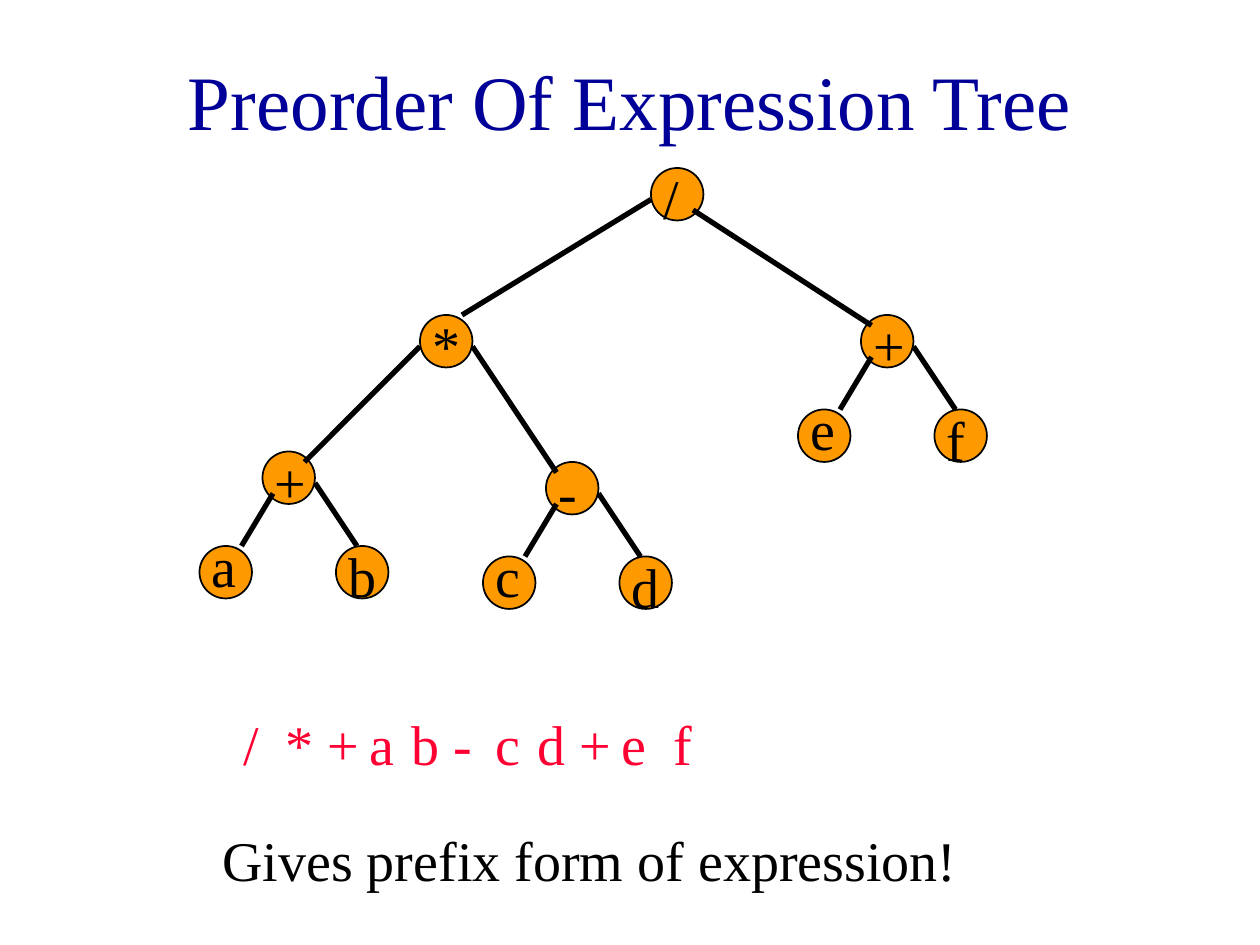
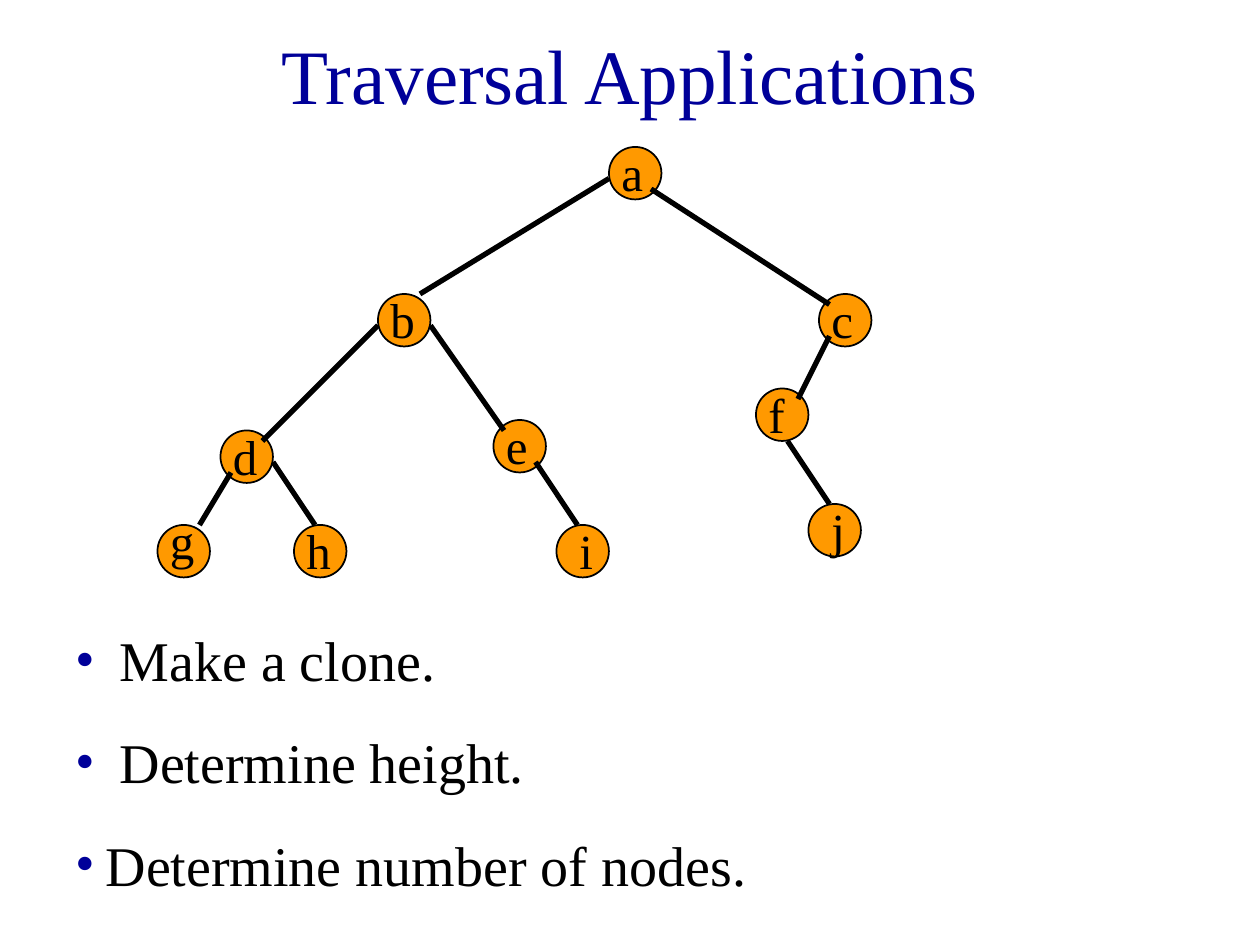
from lxml.etree import SubElement
from pptx import Presentation
from pptx.dml.color import RGBColor
from pptx.enum.shapes import MSO_CONNECTOR, MSO_SHAPE
from pptx.enum.text import MSO_ANCHOR, MSO_AUTO_SIZE, PP_ALIGN
from pptx.oxml.ns import qn
from pptx.util import Pt

COLORS = {"title": "000099", "node": "FF9900", "ink": "000000",
          "result": "FF0033", "paper": "FFFFFF"}
FONT = "Times New Roman"
NODE_SIZE = 30
SPACE_RATIO = 0.625  # space before a paragraph, per point of text size

# Where an edge meets a node, measured from the node's top left corner
PORTS = {"left": (0, 18), "lower left": (6, 24), "bottom": (18, 30),
         "lower right": (24, 24), "right": (30, 18), "top": (12, 0),
         "top right": (24, 0), "upper left": (6, 6), "upper right": (24, 6)}

# Nodes: key, label, left, top, label shift (across, down)
# Edges: parent, port, child, port
EXPRESSION = {
    "title": "Preorder Of Expression Tree", "title_height": 90,
    "label_size": 32, "label_box": (30, 46),
    "nodes": [
        ("sum ab", "+", 150, 258, (0, -6)), ("a", "a", 114, 312, (0, -12)),
        ("b", "b", 192, 312, (0, -6)), ("minus", "-", 312, 264, (0, -6)),
        ("c", "c", 276, 318, (0, -12)), ("d", "d", 354, 318, (0, -6)),
        ("sum ef", "+", 492, 180, (0, -6)), ("e", "e", 456, 234, (0, -12)),
        ("f", "f", 534, 234, (0, -6)), ("times", "*", 240, 180, (0, -6)),
        ("divide", "/", 372, 96, (0, -6)),
    ],
    "edges": [
        ("sum ab", "lower left", "a", "top right"),
        ("sum ab", "right", "b", "top"),
        ("minus", "lower left", "c", "top right"),
        ("minus", "right", "d", "top"),
        ("sum ef", "lower left", "e", "top right"),
        ("sum ef", "right", "f", "top"),
        ("times", "left", "sum ab", "upper right"),
        ("times", "right", "minus", "upper left"),
        ("divide", "left", "times", "top right"),
        ("divide", "lower right", "sum ef", "upper left"),
    ],
}
APPLICATIONS = {
    "title": "Traversal Applications", "title_height": 60,
    "label_size": 28, "label_box": (60, 41),
    "nodes": [
        ("d", "d", 126, 246, (0, -6)), ("g", "g", 90, 300, (0, -12)),
        ("h", "h", 168, 300, (0, -6)), ("e", "e", 282, 240, (0, -6)),
        ("i", "i", 318, 300, (6, -6)), ("c", "c", 468, 168, (0, -6)),
        ("f", "f", 432, 222, (0, -6)), ("b", "b", 216, 168, (0, -6)),
        ("a", "a", 348, 84, (0, -6)), ("j", "j", 462, 288, (6, -6)),
    ],
    "edges": [
        ("d", "lower left", "g", "top right"),
        ("d", "right", "h", "top"),
        ("e", "lower right", "i", "top"),
        ("c", "lower left", "f", "upper right"),
        ("b", "left", "d", "upper right"),
        ("b", "right", "e", "upper left"),
        ("a", "left", "b", "top right"),
        ("a", "lower right", "c", "upper left"),
        ("f", "bottom", "j", "top"),
    ],
}
PREFIX_FORM = "/*+ab-cd+ef"
PREFIX_NOTE = "Gives prefix form of expression!"
# Text and its distance from the bullet's left edge
USES = [("Make a clone.", 25.3), ("Determine height.", 25.3),
        ("Determine number of nodes.", 17.3)]


def rgb(name):
    return RGBColor.from_string(COLORS[name])


def add_run(paragraph, text, size, color):
    run = paragraph.add_run()
    run.text = text
    run.font.name, run.font.size = FONT, Pt(size)
    run.font.color.rgb = rgb(color)


def add_text(shapes, lines, left, top, width, height, size=32, color="ink"):
    """Add a growing text box and return its paragraphs."""
    frame = shapes.add_textbox(Pt(left), Pt(top), Pt(width), Pt(height)).text_frame
    frame.word_wrap = True
    frame.auto_size = MSO_AUTO_SIZE.SHAPE_TO_FIT_TEXT
    for number, line in enumerate(lines):
        paragraph = frame.add_paragraph() if number else frame.paragraphs[0]
        paragraph.space_before = Pt(size * SPACE_RATIO)
        add_run(paragraph, line, size, color)
    return frame.paragraphs


def add_bullet(paragraph, indent):
    props = paragraph._p.get_or_add_pPr()
    props.set("marL", str(Pt(indent)))
    props.set("indent", str(-Pt(indent)))
    bullet_color = SubElement(props, qn("a:buClr"))
    SubElement(bullet_color, qn("a:srgbClr"), val=COLORS["title"])
    SubElement(props, qn("a:buFont"), typeface=FONT)
    SubElement(props, qn("a:buChar"), char="•")


def add_node(shapes, left, top):
    node = shapes.add_shape(MSO_SHAPE.OVAL, Pt(left), Pt(top),
                            Pt(NODE_SIZE), Pt(NODE_SIZE))
    node.shadow.inherit = False
    node.fill.solid()
    node.fill.fore_color.rgb = rgb("node")
    node.line.color.rgb = rgb("ink")
    node.line.width = Pt(1)


def add_edge(shapes, start, end):
    edge = shapes.add_connector(MSO_CONNECTOR.STRAIGHT,
                                *(Pt(value) for value in (*start, *end)))
    edge.line.color.rgb = rgb("ink")
    edge.line.width = Pt(3)
    SubElement(edge._element.spPr, qn("a:effectLst"))


def add_tree(slide, tree):
    shapes = slide.shapes.add_group_shape().shapes
    corners = {}
    for key, label, left, top, (across, down) in tree["nodes"]:
        corners[key] = (left, top)
        add_node(shapes, left, top)
        add_text(shapes, [label], left + across, top + down,
                 *tree["label_box"], tree["label_size"])

    def meeting_point(key, port):
        return [corner + shift for corner, shift in zip(corners[key], PORTS[port])]

    for parent, out_port, child, in_port in tree["edges"]:
        add_edge(shapes, meeting_point(parent, out_port),
                 meeting_point(child, in_port))


def add_tree_slide(deck, tree):
    slide = deck.slides.add_slide(deck.slide_layouts[5])
    slide.background.fill.solid()
    slide.background.fill.fore_color.rgb = rgb("paper")
    title = slide.shapes.title
    title.left, title.top = Pt(54), Pt(12)
    title.width, title.height = Pt(612), Pt(tree["title_height"])
    frame = title.text_frame
    frame.vertical_anchor = MSO_ANCHOR.MIDDLE
    frame.auto_size = MSO_AUTO_SIZE.NONE
    frame.paragraphs[0].alignment = PP_ALIGN.CENTER
    add_run(frame.paragraphs[0], tree["title"], 44, "title")
    add_tree(slide, tree)
    return slide


def main():
    deck = Presentation()
    deck.slide_width, deck.slide_height = Pt(720), Pt(540)

    # Expression tree and its prefix form
    slide = add_tree_slide(deck, EXPRESSION)
    add_text(slide.shapes, [PREFIX_NOTE], 120, 468, 462, 46)
    for place, symbol in enumerate(PREFIX_FORM):
        nudge = 6 if symbol == "f" else 0
        add_text(slide.shapes, [symbol], 132 + 24 * place + nudge, 402, 30, 46,
                 color="result")

    # Traversal tree and its uses
    slide = add_tree_slide(deck, APPLICATIONS)
    uses = add_text(slide.shapes, [text for text, _ in USES], 36, 354, 510, 163)
    for paragraph, (_, indent) in zip(uses, USES):
        add_bullet(paragraph, indent)

    deck.save("out.pptx")


if __name__ == "__main__":
    main()
